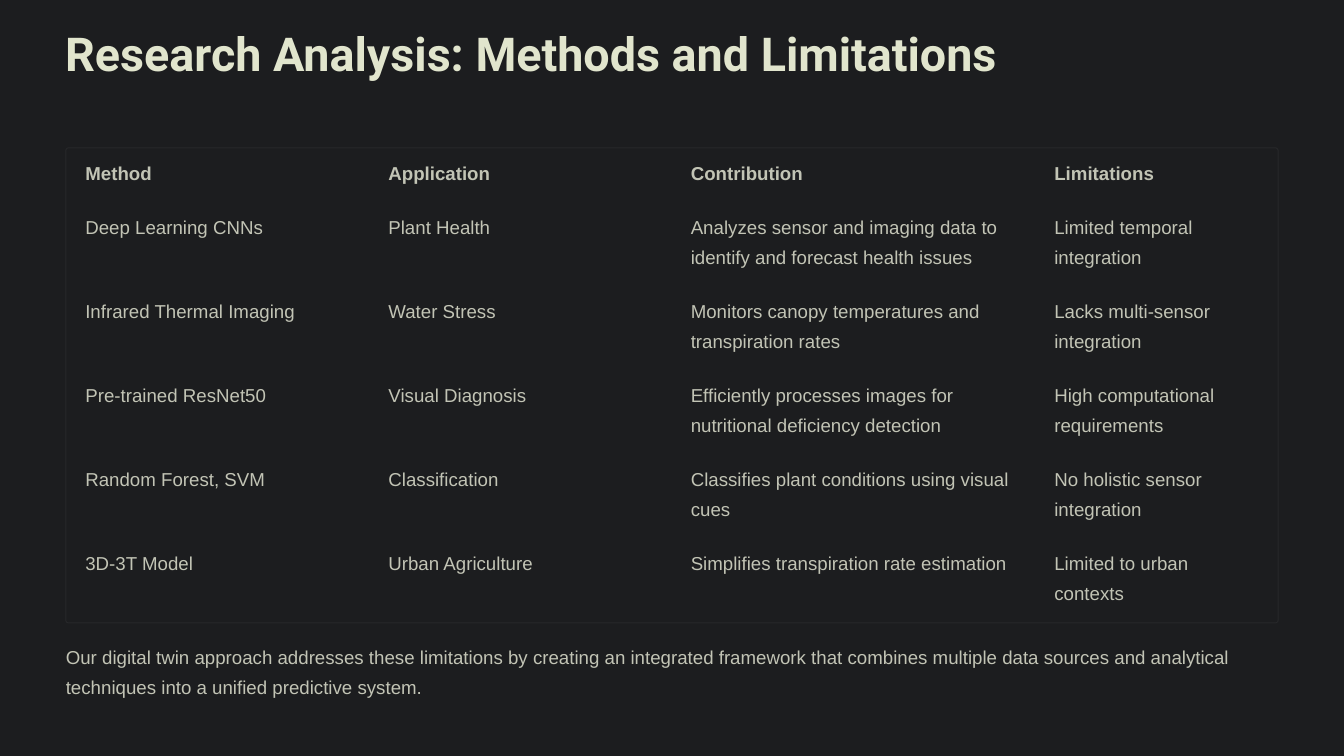
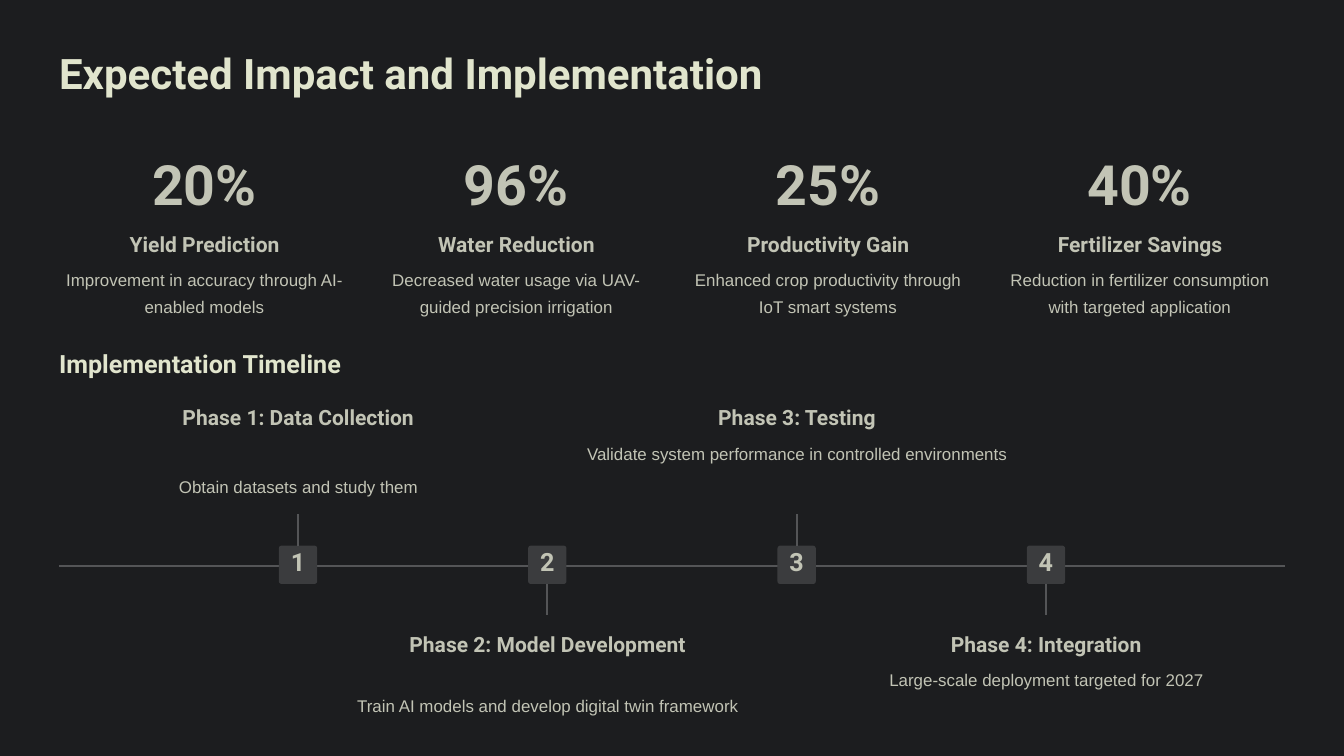
from dataclasses import dataclass

from lxml.etree import SubElement
from pptx import Presentation
from pptx.dml.color import RGBColor
from pptx.enum.shapes import MSO_CONNECTOR, MSO_SHAPE
from pptx.enum.text import MSO_ANCHOR, PP_ALIGN
from pptx.oxml.ns import qn
from pptx.shapes.autoshape import Shape
from pptx.shapes.connector import Connector
from pptx.slide import Slide
from pptx.text.text import TextFrame
from pptx.util import Inches, Pt

WIDE = 20
HIGH = 11.25

DARK = RGBColor(0x1C, 0x1D, 0x1F)
CREAM = RGBColor(0xE1, 0xE5, 0xCD)
SAGE = RGBColor(0xC2, 0xC4, 0xB5)
FRAME = RGBColor(0x27, 0x28, 0x2A)
RULE = RGBColor(0x54, 0x55, 0x57)
BADGE = RGBColor(0x3B, 0x3C, 0x3E)

HEAD = "Roboto"
BODY = "Arial"
PLAIN = "{2D5ABB26-0587-4C30-8999-92F81FD0307C}"
ROUND = 0.04

CELL = dict(size=20, lead=31.9)
LABEL = dict(size=22.5, lead=28.1, font=HEAD, bold=True, align=PP_ALIGN.CENTER)
NOTE = dict(size=18.1, lead=28.8, align=PP_ALIGN.CENTER)
FIGURE = dict(size=59.4, lead=59.4, font=HEAD, bold=True, align=PP_ALIGN.CENTER)
DIGIT = dict(size=26.9, lead=26.9, font=HEAD, bold=True, align=PP_ALIGN.CENTER)

WIDTHS = (4.51, 4.5, 5.41, 3.62)
ROWS = (
    ("Method", "Application", "Contribution", "Limitations"),
    ("Deep Learning CNNs", "Plant Health",
     "Analyzes sensor and imaging data to identify and forecast health issues",
     "Limited temporal integration"),
    ("Infrared Thermal Imaging", "Water Stress",
     "Monitors canopy temperatures and transpiration rates",
     "Lacks multi-sensor integration"),
    ("Pre-trained ResNet50", "Visual Diagnosis",
     "Efficiently processes images for nutritional deficiency detection",
     "High computational requirements"),
    ("Random Forest, SVM", "Classification",
     "Classifies plant conditions using visual cues",
     "No holistic sensor integration"),
    ("3D-3T Model", "Urban Agriculture",
     "Simplifies transpiration rate estimation",
     "Limited to urban contexts"),
)


@dataclass(frozen=True)
class Stat:
    """One headline figure with its label and note."""
    value: str
    label: str
    note: str


@dataclass(frozen=True)
class Phase:
    """One step on the timeline, with its label width and note offset."""
    label: str
    note: str
    width: float
    drop: float


STATS = (
    Stat("20%", "Yield Prediction", "Improvement in accuracy through AI-enabled models"),
    Stat("96%", "Water Reduction", "Decreased water usage via UAV-guided precision irrigation"),
    Stat("25%", "Productivity Gain", "Enhanced crop productivity through IoT smart systems"),
    Stat("40%", "Fertilizer Savings", "Reduction in fertilizer consumption with targeted application"),
)
PHASES = (
    Phase("Phase 1: Data Collection", "Obtain datasets and study them", 3.46, 0.98),
    Phase("Phase 2: Model Development", "Train AI models and develop digital twin framework", 4.17, 0.88),
    Phase("Phase 3: Testing", "Validate system performance in controlled environments", 3.15, 0.49),
    Phase("Phase 4: Integration", "Large-scale deployment targeted for 2027", 3.15, 0.49),
)


def write(frame: TextFrame, text: str, *, size: float, lead: float, font: str = BODY,
          color: RGBColor = SAGE, bold: bool = False,
          align: PP_ALIGN = PP_ALIGN.LEFT) -> None:
    """Fill a text frame with one formatted paragraph."""
    frame.word_wrap = True
    para = frame.paragraphs[0]
    para.alignment = align
    para.line_spacing = Pt(lead)
    run = para.add_run()
    run.text = text
    run.font.name = font
    run.font.size = Pt(size)
    run.font.bold = bold
    run.font.color.rgb = color


def inset(frame: TextFrame, low: float = 0) -> None:
    """Clear the margins of a frame, apart from the lower one."""
    frame.margin_left = frame.margin_top = frame.margin_right = 0
    frame.margin_bottom = Inches(low)


def label(slide: Slide, left: float, top: float, width: float, high: float,
          text: str, **form) -> None:
    """Add a text box without margins."""
    frame = slide.shapes.add_textbox(
        Inches(left), Inches(top), Inches(width), Inches(high)).text_frame
    inset(frame)
    write(frame, text, **form)


def panel(slide: Slide, left: float, top: float, width: float, high: float,
          fill: RGBColor | None = None, curve: float = ROUND) -> Shape:
    """Add a rectangle, with slightly rounded corners if it has a curve."""
    kind = MSO_SHAPE.ROUNDED_RECTANGLE if curve else MSO_SHAPE.RECTANGLE
    shape = slide.shapes.add_shape(
        kind, Inches(left), Inches(top), Inches(width), Inches(high))
    if curve:
        shape.adjustments[0] = curve / min(width, high)
    shape.shadow.inherit = False
    shape.line.fill.background()
    if fill is None:
        shape.fill.background()
    else:
        shape.fill.solid()
        shape.fill.fore_color.rgb = fill
    return shape


def rule(slide: Slide, left: float, top: float, right: float, base: float) -> Connector:
    """Add a straight grey line."""
    line = slide.shapes.add_connector(
        MSO_CONNECTOR.STRAIGHT, Inches(left), Inches(top), Inches(right), Inches(base))
    line.line.color.rgb = RULE
    line.line.width = Pt(2.25)
    SubElement(line._element.spPr, qn("a:effectLst"))
    return line


def start(deck: Presentation, left: float, top: float, width: float, high: float,
          title: str, size: float) -> Slide:
    """Add a slide with its dark backdrop and title."""
    slide = deck.slides.add_slide(deck.slide_layouts[6])
    panel(slide, 0, 0, WIDE, HIGH, DARK, 0)
    label(slide, left, top, width, high, title,
          size=size, lead=size * 1.25, font=HEAD, color=CREAM, bold=True)
    return slide


def grid(slide: Slide) -> None:
    """Draw the framed table of methods."""
    frame = panel(slide, 0.98, 2.2, 18.04, 7.07)
    frame.line.color.rgb = FRAME
    frame.line.width = Pt(1)
    table = slide.shapes.add_table(
        len(ROWS), len(WIDTHS), Inches(0.98), Inches(2.2),
        Inches(sum(WIDTHS)), Inches(7.06)).table
    table._tbl.tblPr.find(qn("a:tableStyleId")).text = PLAIN
    table.horz_banding = False
    for col, width in zip(table.columns, WIDTHS):
        col.width = Inches(width)
    for i, row in enumerate(ROWS):
        table.rows[i].height = Inches(1.25 if i else 0.81)
        for j, text in enumerate(row):
            cell = table.cell(i, j)
            cell.fill.background()
            cell.margin_left = Inches(0.29)
            cell.margin_right = Inches(0.27)
            cell.margin_top = cell.margin_bottom = Inches(0.1)
            write(cell.text_frame, text, bold=i == 0, **CELL)


def draw_stat(slide: Slide, left: float, stat: Stat) -> None:
    """Draw one figure above its label and note."""
    label(slide, left, 2.4, 4.32, 0.75, stat.value, **FIGURE)
    label(slide, left + 0.59, 3.43, 3.15, 0.43, stat.label, **LABEL)
    label(slide, left, 3.92, 4.32, 0.89, stat.note, **NOTE)


def draw_phase(slide: Slide, index: int, phase: Phase) -> None:
    """Draw one numbered step, above or below the axis in turn."""
    mid = 4.44 + 3.71 * index
    above = index % 2 == 0
    top, tip, site = (6.01, 7.65, 0) if above else (9.38, 9.15, 2)
    badge = panel(slide, mid - 0.29, 8.12, 0.57, 0.57, BADGE)
    inset(badge.text_frame, 0.02)
    badge.text_frame.vertical_anchor = MSO_ANCHOR.MIDDLE
    write(badge.text_frame, str(index + 1), **DIGIT)
    stem = rule(slide, mid, tip, mid, 8.4)
    stem.end_connect(badge, site)
    stem.begin_x = stem.end_x
    label(slide, mid - phase.width / 2, top, phase.width, 0.43, phase.label, **LABEL)
    label(slide, mid - 3.3, top + phase.drop, 6.6, 0.49, phase.note, **NOTE)


def methods(deck: Presentation) -> None:
    """Build the slide on methods and limitations."""
    slide = start(deck, 0.97, 0.33, 14.03, 0.92,
                  "Research Analysis: Methods and Limitations", 50)
    grid(slide)
    label(slide, 0.98, 9.5, 18.04, 0.98,
          "Our digital twin approach addresses these limitations by creating an "
          "integrated framework that combines multiple data sources and analytical "
          "techniques into a unified predictive system.", **CELL)


def impact(deck: Presentation) -> None:
    """Build the slide on impact and timeline."""
    slide = start(deck, 0.88, 0.68, 10.86, 0.84,
                  "Expected Impact and Implementation", 45)
    for i, stat in enumerate(STATS):
        draw_stat(slide, 0.88 + 4.64 * i, stat)
    label(slide, 0.88, 5.16, 4.34, 0.5, "Implementation Timeline",
          size=26.9, lead=33.7, font=HEAD, color=CREAM, bold=True)
    rule(slide, 0.88, 8.42, 19.12, 8.42)
    for i, phase in enumerate(PHASES):
        draw_phase(slide, i, phase)


def main() -> None:
    """Build and save the deck."""
    deck = Presentation()
    deck.slide_width = Inches(WIDE)
    deck.slide_height = Inches(HIGH)
    methods(deck)
    impact(deck)
    deck.save("out.pptx")


if __name__ == "__main__":
    main()
